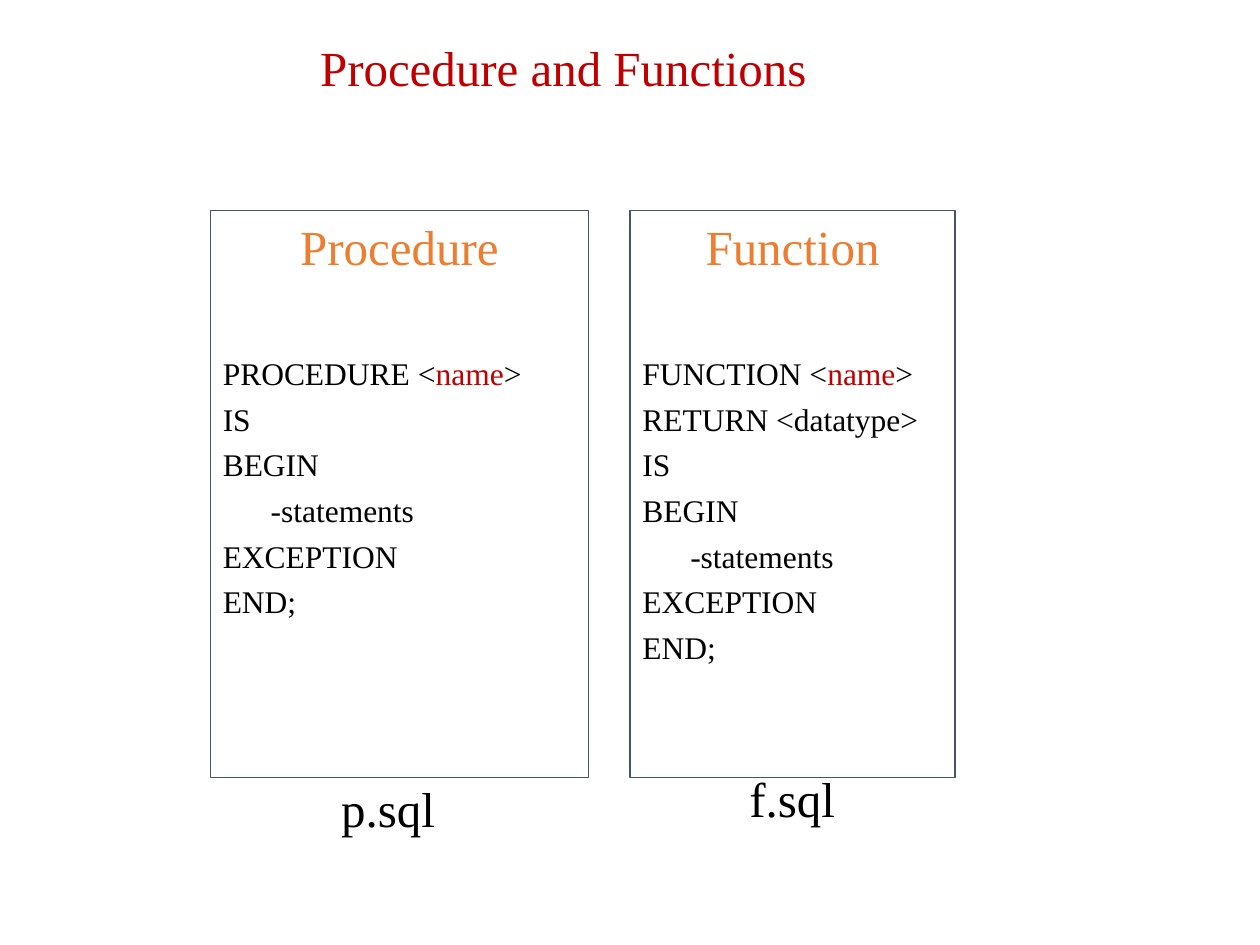
from pptx import Presentation
from pptx.dml.color import RGBColor
from pptx.enum.shapes import MSO_SHAPE as Shape
from pptx.enum.text import MSO_ANCHOR as Anchor, MSO_AUTO_SIZE as AutoSize, PP_ALIGN as Align
from pptx.util import Inches, Pt

FONT = "Times New Roman"
BLACK, RED, ORANGE, SLATE = "000000", "C00000", "ED7D31", "44546A"
TITLE = ("Procedure and Functions", (2.44, 0.25, 4.1, 0.57))

# Shared ending of both code blocks; a tuple entry is (text, indent in inches)
BODY = ["IS", "BEGIN", ("-statements", 0.38), "EXCEPTION", "END;"]
PANELS = [
    {"heading": "Procedure", "keyword": "PROCEDURE", "code": BODY,
     "left": 1.67, "width": 3, "file": "p.sql", "file_at": (2.61, 6.13, 0.97, 0.57)},
    {"heading": "Function", "keyword": "FUNCTION", "code": ["RETURN <datatype>"] + BODY,
     "left": 5, "width": 2.58, "file": "f.sql", "file_at": (5.85, 6.05, 0.9, 0.57)},
]
PANEL_TOP, PANEL_HEIGHT = 1.67, 4.5
HEADING_GAP, LINE_GAP = 44.9, 4.5  # points before the first and later code lines


def color(value):
    return RGBColor.from_string(value)


def add_span(para, text, size, tint):
    span = para.add_run()
    span.text = text
    span.font.name, span.font.size = FONT, Pt(size)
    span.font.color.rgb = color(tint)


def fill_label(box, text, tint):
    """One unwrapped line of large text, top left in its box."""
    frame = box.text_frame
    frame.word_wrap = False
    frame.auto_size = AutoSize.SHAPE_TO_FIT_TEXT
    frame.vertical_anchor = Anchor.TOP
    frame.margin_right = Inches(0.05)  # spare room keeps the line whole
    para = frame.paragraphs[0]
    para.alignment = Align.LEFT
    add_span(para, text, 28, tint)


def add_code_line(frame, spans, gap, indent=0):
    para = frame.add_paragraph()
    para.alignment = Align.LEFT
    para.space_before = Pt(gap)
    if indent:
        para._p.get_or_add_pPr().set("marL", str(Inches(indent)))
    for text, tint in spans:
        add_span(para, text, 18, tint)


def add_panel(page, panel):
    box = page.shapes.add_shape(Shape.RECTANGLE, Inches(panel["left"]), Inches(PANEL_TOP),
                                Inches(panel["width"]), Inches(PANEL_HEIGHT))
    box.shadow.inherit = False
    box.fill.background()
    box.line.color.rgb, box.line.width = color(SLATE), Pt(0.75)
    frame = box.text_frame
    frame.word_wrap, frame.vertical_anchor = True, Anchor.TOP

    # Heading, then the signature line with its red name
    frame.paragraphs[0].alignment = Align.CENTER
    add_span(frame.paragraphs[0], panel["heading"], 28, ORANGE)
    signature = [(panel["keyword"] + " <", BLACK), ("name", RED), (">", BLACK)]
    add_code_line(frame, signature, HEADING_GAP)
    for line in panel["code"]:
        text, indent = line if isinstance(line, tuple) else (line, 0)
        add_code_line(frame, [(text, BLACK)], LINE_GAP, indent)

    # File name under the panel
    label = page.shapes.add_textbox(*map(Inches, panel["file_at"]))
    fill_label(label, panel["file"], BLACK)


def main():
    deck = Presentation()
    deck.slide_width, deck.slide_height = Inches(10), Inches(7.5)
    page = deck.slides.add_slide(deck.slide_layouts[5])

    # Title
    title = page.shapes.title
    text, place = TITLE
    title.left, title.top, title.width, title.height = map(Inches, place)
    fill_label(title, text, RED)

    for panel in PANELS:
        add_panel(page, panel)
    deck.save("out.pptx")


if __name__ == "__main__":
    main()
